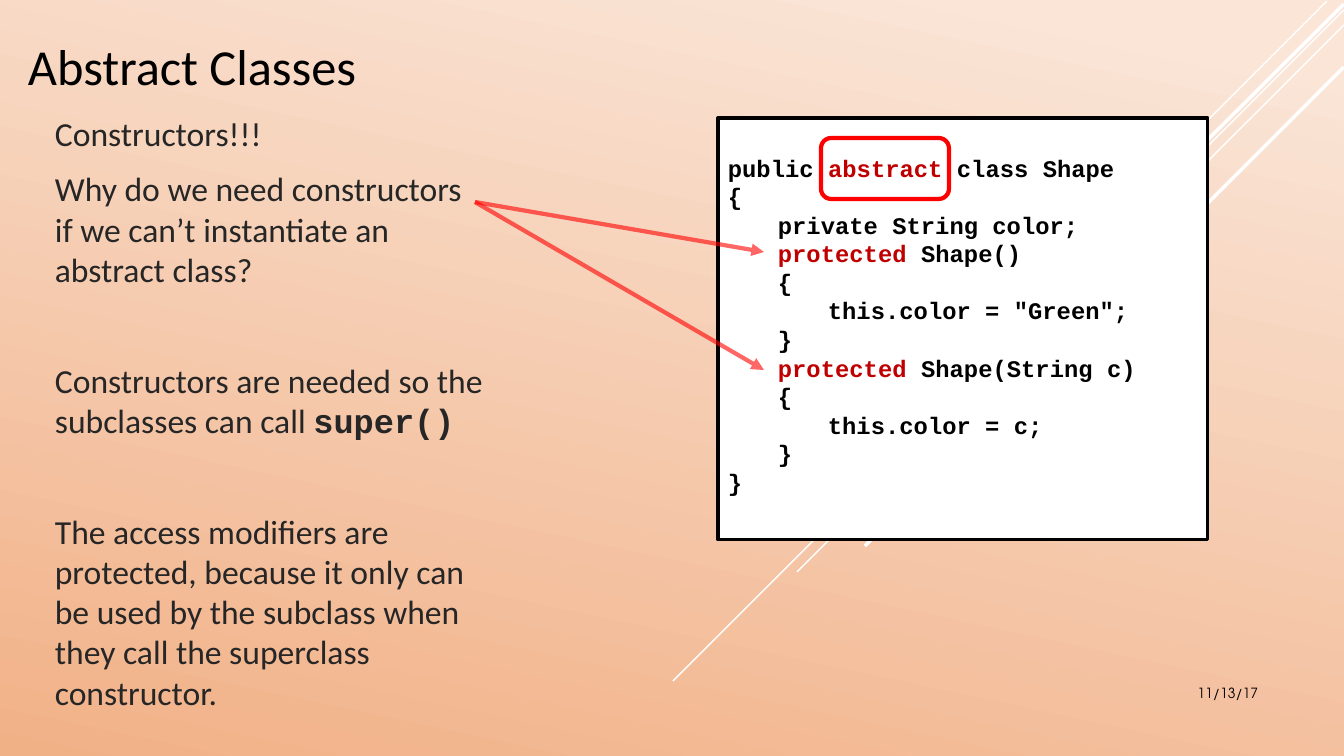
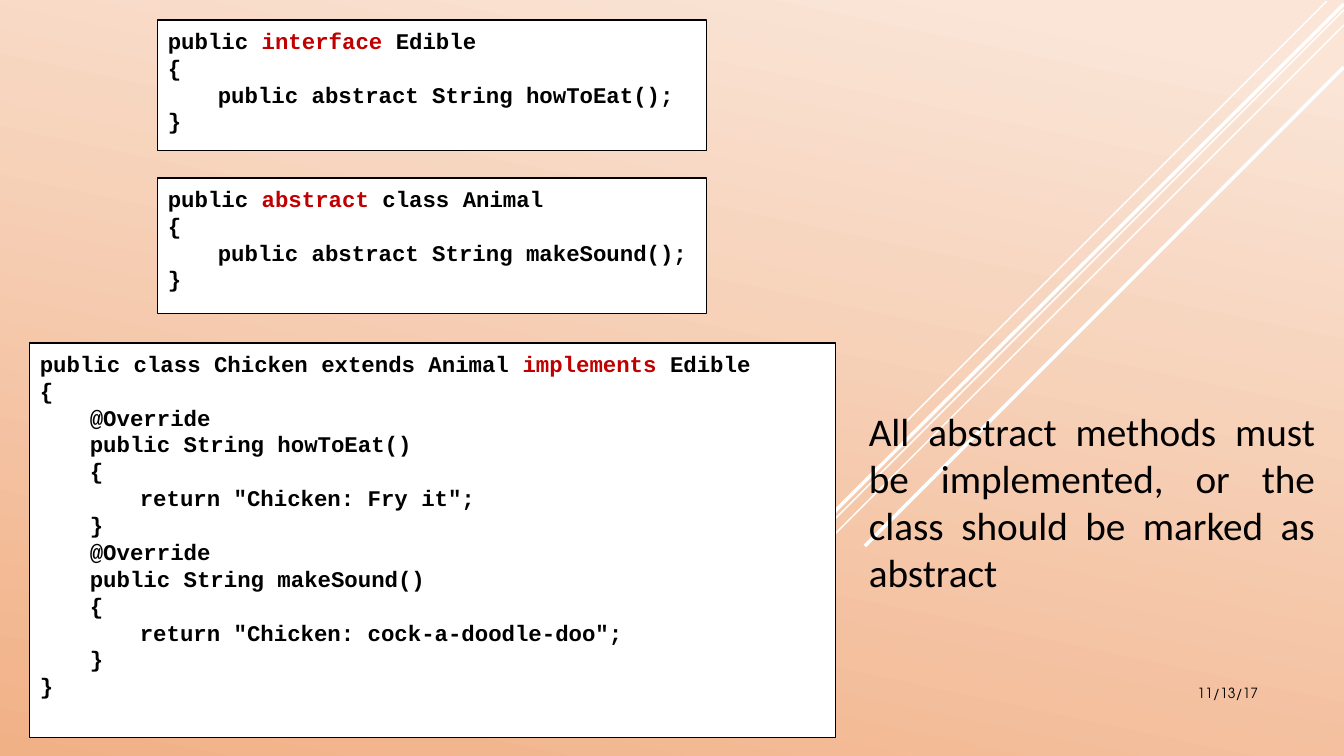
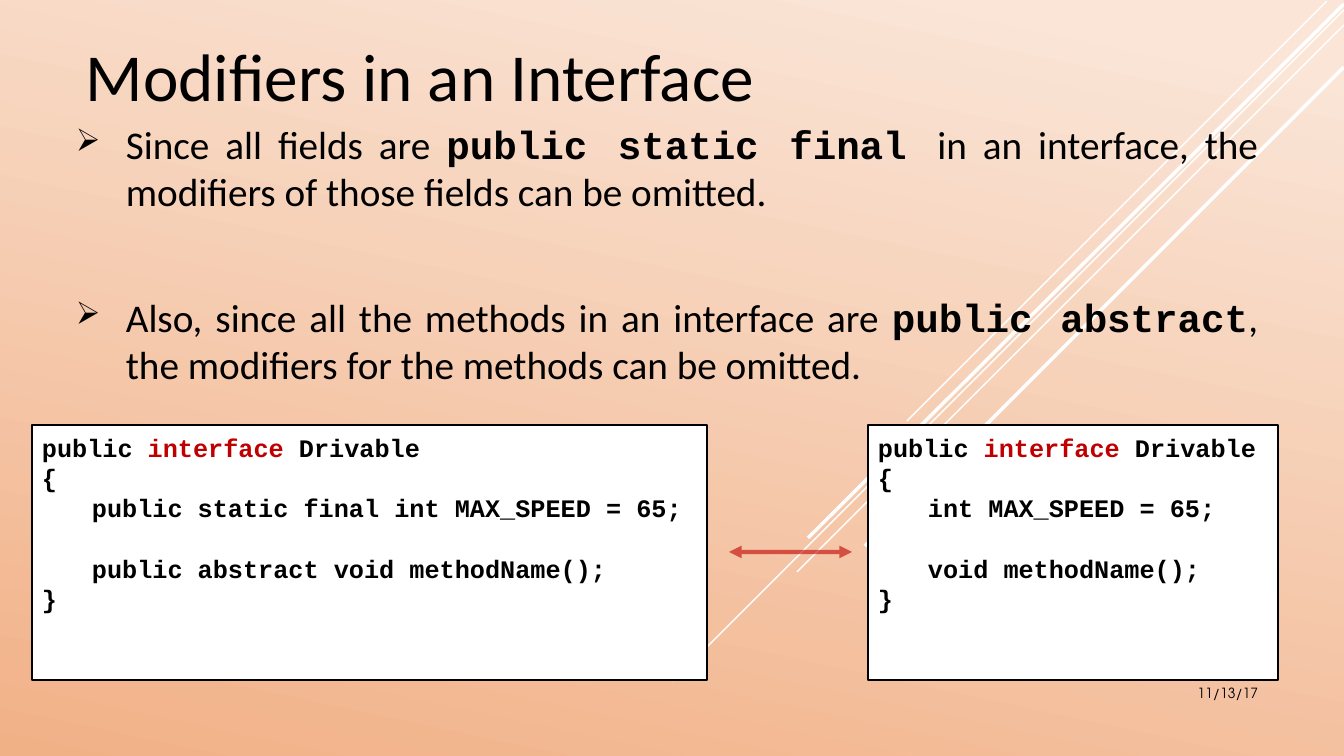
import pptx
import pptx.util
import pptx.dml.color
import pptx.enum.shapes
import pptx.enum.text
import pptx.oxml
import pptx.oxml.ns

SCALE = 914400 / 100.8  # EMU per pixel
POINT = 1.4  # pixels per point
LEADING = 1.2
TAB = 50
COLORS = {
    "light": "FAE5D7", "dark": "F1B187", "white": "FFFFFF", "black": "000000",
    "gray": "262626", "keyword": "C00000", "red": "FF0000",
}
RGB = {name: pptx.dml.color.RGBColor.from_string(value) for name, value in COLORS.items()}
ALIGN = pptx.enum.text.PP_ALIGN
ANCHOR = pptx.enum.text.MSO_ANCHOR
SHAPE = pptx.enum.shapes.MSO_SHAPE


def add_line(page, ends, color, width, heads=(), alpha=None):
    """Draw a straight line; heads lists the ends that carry an arrowhead."""
    line = page.shapes.add_connector(
        pptx.enum.shapes.MSO_CONNECTOR.STRAIGHT, *[round(end * SCALE) for end in ends])
    line.line.color.rgb = RGB[color]
    line.line.width = pptx.util.Pt(width)
    properties = line._element.spPr
    outline = line.line._get_or_add_ln()
    if alpha:
        tone = outline.find(".//" + pptx.oxml.ns.qn("a:srgbClr"))
        tone.append(pptx.oxml.parse_xml(
            f'<a:alpha {pptx.oxml.ns.nsdecls("a")} val="{alpha * 1000}"/>'))
    for head in heads:
        outline.append(pptx.oxml.parse_xml(
            f'<a:{head} {pptx.oxml.ns.nsdecls("a")} type="triangle"/>'))
    properties.append(pptx.oxml.parse_xml(f'<a:effectLst {pptx.oxml.ns.nsdecls("a")}/>'))


def add_text(page, at, text, size, font="Calibri", color="black", align=ALIGN.LEFT,
             anchor=ANCHOR.TOP, border=None, gap=0, bullet=None):
    """Write text, one paragraph a line; *marked* words are keywords in code, code in prose.

    A border makes a white code box. Leading tabs indent, and an empty line leaves a gap.
    """
    place = [round(length * SCALE) for length in at]
    if border:
        box = page.shapes.add_shape(SHAPE.RECTANGLE, *place)
        box.shadow.inherit = False
        box.fill.solid()
        box.fill.fore_color.rgb = RGB["white"]
        box.line.color.rgb = RGB["black"]
        box.line.width = pptx.util.Pt(border)
    else:
        box = page.shapes.add_textbox(*place)
    frame = box.text_frame
    frame.word_wrap = True
    frame.vertical_anchor = anchor
    line_height = size * POINT * LEADING
    top = 7 if border else 5
    blanks = 0
    para = None
    for line in text.split("\n"):
        if not line:
            blanks += 1
            continue
        space = blanks * (line_height + gap)
        if para is None:
            para = frame.paragraphs[0]
            top += space
        else:
            para = frame.add_paragraph()
            para.space_before = pptx.util.Pt(round((space + gap) / POINT, 1))
        blanks = 0
        para.alignment = align
        para.line_spacing = pptx.util.Pt(round(size * LEADING, 1))
        level = line.count("\t")
        details = para._p.get_or_add_pPr()
        if level:
            details.set("marL", str(round(level * TAB * SCALE)))
            details.set("indent", "0")
        if bullet:
            details.set("marL", str(round(TAB * SCALE)))
            details.set("indent", str(round(-TAB * SCALE)))
            for tag in ('buSzPct val="80000"', f'buChar char="{bullet}"'):
                details.append(pptx.oxml.parse_xml(f'<a:{tag} {pptx.oxml.ns.nsdecls("a")}/>'))
        for number, words in enumerate(line.strip("\t").split("*")):
            if not words:
                continue
            marked = number % 2 == 1
            span = para.add_run()
            span.text = words
            span.font.size = pptx.util.Pt(size)
            span.font.name = "Courier New" if border or marked else font
            span.font.bold = bool(border or marked)
            span.font.color.rgb = RGB["keyword" if border and marked else color]
    frame.margin_top = round(top * SCALE)


deck = pptx.Presentation()
deck.slide_width = round(1344 * SCALE)
deck.slide_height = round(756 * SCALE)

# Shared background
backdrop = deck.slide_master.background.fill
backdrop.gradient()
backdrop.gradient_angle = 258
for stop, color, position in zip(backdrop.gradient_stops, ("light", "dark"), (0.07, 1)):
    stop.color.rgb = RGB[color]
    stop.position = position

# Shared diagonal rays and date
RAYS = [
    ((1327, 1, 907, 421), 1), ((1344, 10, 673, 681), 1), ((1344, 25, 797, 572), 1),
    ((1344, 4, 808, 538), 2.5), ((1344, 67, 865, 546), 2.5),
]
pages = [deck.slides.add_slide(deck.slide_layouts[6]) for _ in range(3)]
for page in pages:
    for ends, width in RAYS:
        add_line(page, ends, "white", width)
    add_text(page, (1092, 680, 176, 40), "11/13/17", 10,
             font="TeX Gyre Adventor", align=ALIGN.RIGHT)
constructors, example, modifiers = pages

# Titles
for page, at, title, size in [
    (constructors, (18, 27, 882, 74), "Abstract Classes", 36),
    (modifiers, (76, 16, 882, 104), "Modifiers in an Interface", 48),
]:
    add_text(page, at, title, size, anchor=ANCHOR.BOTTOM)

# Slide 1: constructors of an abstract class
SHAPE_CODE = """
public *abstract* class Shape
{
\tprivate String color;
\t*protected* Shape()
\t{
\t\tthis.color = "Green";
\t}
\t*protected* Shape(String c)
\t{
\t\tthis.color = c;
\t}
}"""
add_text(constructors, (718, 118, 490, 422), SHAPE_CODE, 17, border=2.25)
REASONS = """Constructors!!!
Why do we need constructors if we can’t instantiate an abstract class?

Constructors are needed so the subclasses can call *super()*

The access modifiers are protected, because it only can be used by the subclass \
when they call the superclass constructor."""
add_text(constructors, (45, 108, 452, 561), REASONS, 24, color="gray", gap=15)
for tip in (252, 370):
    add_line(constructors, (475, 202, 764, tip), "red", 3, heads=["tailEnd"], alpha=60)
frame_place = [round(length * SCALE) for length in (821, 138, 128, 61)]
keyword_frame = constructors.shapes.add_shape(SHAPE.ROUNDED_RECTANGLE, *frame_place)
keyword_frame.shadow.inherit = False
keyword_frame.fill.background()
keyword_frame.line.color.rgb = RGB["red"]
keyword_frame.line.width = pptx.util.Pt(3)

# Slide 2: an interface, an abstract class and a class that uses both
CHICKEN_CODE = """public class Chicken extends Animal *implements* Edible
{
\t@Override
\tpublic String howToEat()
\t{
\t\treturn "Chicken: Fry it";
\t}
\t@Override
\tpublic String makeSound()
\t{
\t\treturn "Chicken: cock-a-doodle-doo";
\t}
}"""
EDIBLE_CODE = """public *interface* Edible
{
\tpublic abstract String howToEat();
}"""
ANIMAL_CODE = """public *abstract* class Animal
{
\tpublic abstract String makeSound();
}"""
for at, code in [
    ((30, 343, 806, 395), CHICKEN_CODE),
    ((158, 20, 549, 131), EDIBLE_CODE),
    ((158, 178, 549, 136), ANIMAL_CODE),
]:
    add_text(example, at, code, 16, border=0.75)
add_text(example, (859, 402, 466, 217),
         "All abstract methods must be implemented, or the class should be marked as abstract",
         28, align=ALIGN.JUSTIFY)

# Slide 3: modifiers that can be omitted
RULES = """Since all fields are *public static final *in an interface, \
the modifiers of those fields can be omitted.

Also, since all the methods in an interface are *public abstract*, \
the modifiers for the methods can be omitted."""
add_text(modifiers, (66, 115, 1202, 293), RULES, 28, align=ALIGN.JUSTIFY, gap=16, bullet="➢")
for left, width, field, method in [
    (32, 675, "public static final ", "public abstract "),
    (868, 410, "", ""),
]:
    code = f"""public *interface* Drivable
{{
\t{field}int MAX_SPEED = 65;

\t{method}void methodName();
}}"""
    add_text(modifiers, (left, 425, width, 255), code, 18, border=1.5)
add_line(modifiers, (729, 552, 852, 552), "keyword", 3, heads=["headEnd", "tailEnd"], alpha=60)

deck.save("out.pptx")
